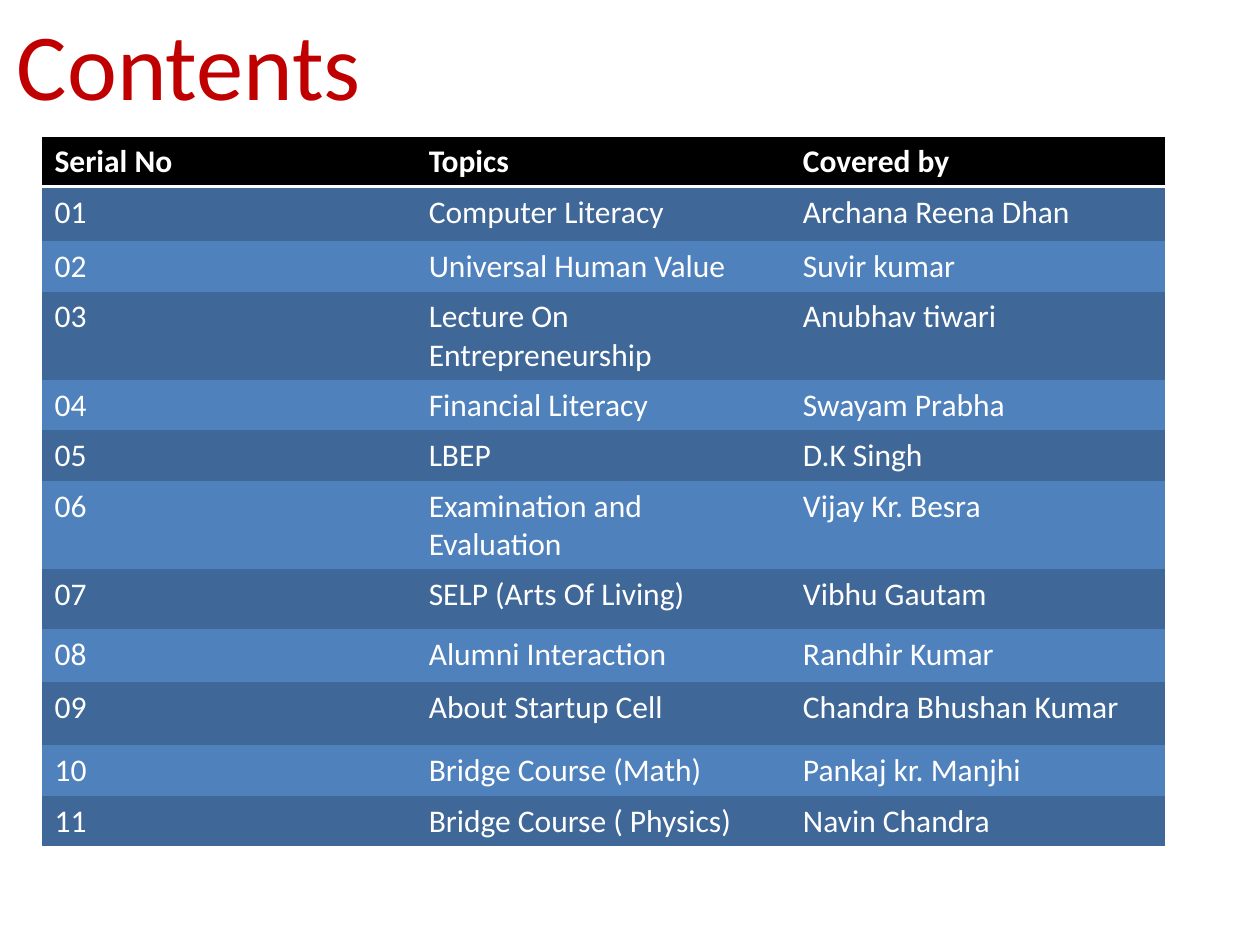
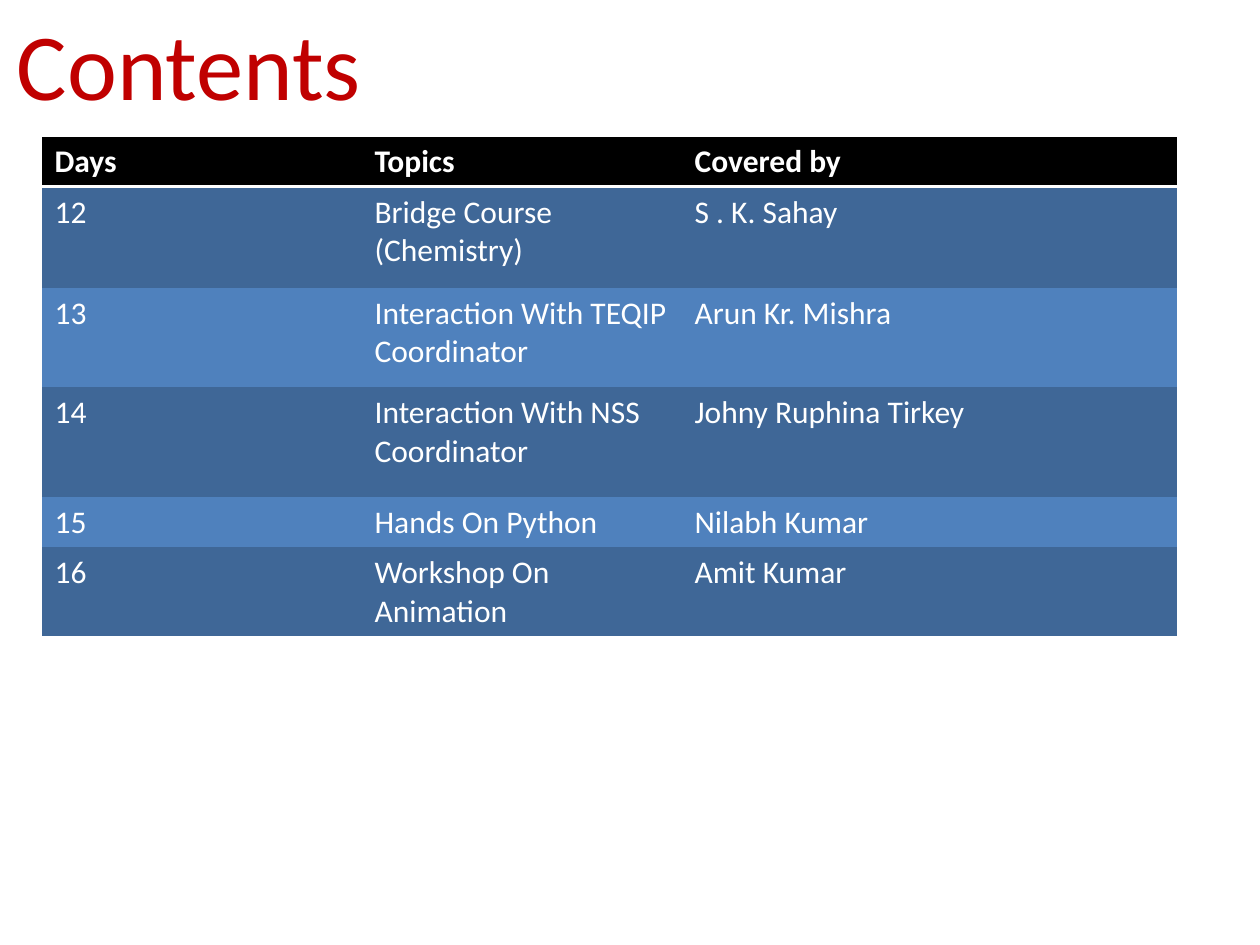
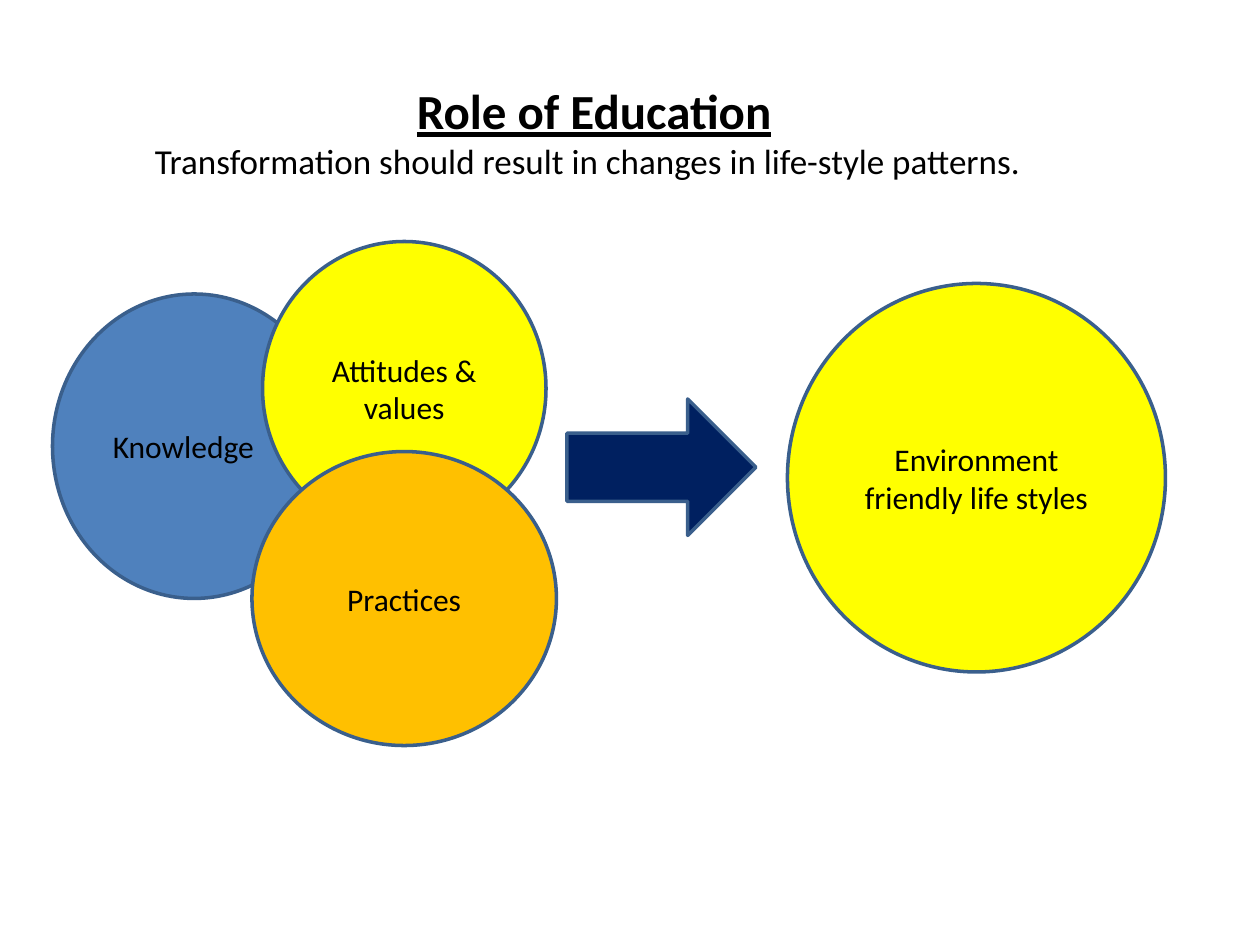
from pptx import Presentation
from pptx import util as u
from pptx.dml import color
from pptx.enum import shapes, text
from pptx.oxml import parse_xml
from pptx.oxml import ns

COLORS = {
    "title": "C00000", "header": "000000", "dark": "3F6797", "blue": "4F81BD",
    "white": "FFFFFF", "black": "000000", "yellow": "FFFF00", "orange": "FFC000",
    "navy": "002060", "outline": "3A5F8C",
}
FONT = "Calibri"
NO_GRID = "{2D5ABB26-0587-4C30-8999-92F81FD0307C}"

deck = Presentation()
deck.slide_width, deck.slide_height = u.Inches(10), u.Inches(7.5)
UNIT = deck.slide_width / 120


def grid(*places):
    return [round(place * UNIT) for place in places]


def style(para, size, name, bold=False):
    para.font.size = u.Pt(size)
    para.font.name = FONT
    para.font.bold = bold
    para.font.color.rgb = color.RGBColor.from_string(COLORS[name])


contents = [
    {
        "columns": [2.97, 2.97, 2.97],
        "heights": [0.4, 0.43, 0.4, 0.7, 0.4, 0.4, 0.7, 0.48, 0.42, 0.5, 0.4, 0.4],
        "rows": [
            ("Serial No", "Topics", "Covered by"),
            ("01", "Computer Literacy", "Archana Reena Dhan"),
            ("02", "Universal Human Value", "Suvir kumar"),
            ("03", "Lecture On Entrepreneurship", "Anubhav tiwari"),
            ("04", "Financial Literacy", "Swayam Prabha"),
            ("05", "LBEP", "D.K Singh"),
            ("06", "Examination and Evaluation", "Vijay Kr. Besra"),
            ("07", "SELP (Arts Of Living)", "Vibhu Gautam"),
            ("08", "Alumni Interaction", "Randhir Kumar"),
            ("09", "About Startup Cell", "Chandra Bhushan Kumar"),
            ("10", "Bridge Course (Math)", "Pankaj kr. Manjhi"),
            ("11", "Bridge Course ( Physics)", "Navin Chandra"),
        ],
    },
    {
        "columns": [2.54, 2.54, 3.93],
        "heights": [0.4, 0.8, 0.79, 0.87, 0.4, 0.7],
        "rows": [
            ("Days", "Topics", "Covered by"),
            ("12", "Bridge Course (Chemistry)", "S . K. Sahay"),
            ("13", "Interaction With TEQIP Coordinator", "Arun Kr. Mishra"),
            ("14", "Interaction With NSS Coordinator", "Johny Ruphina Tirkey"),
            ("15", "Hands On Python", "Nilabh Kumar"),
            ("16", "Workshop On Animation", "Amit Kumar"),
        ],
    },
]

for listing in contents:
    page = deck.slides.add_slide(deck.slide_layouts[6])
    box = page.shapes.add_textbox(*grid(0, 0, 36, 12))
    box.text_frame.word_wrap = True
    para = box.text_frame.paragraphs[0]
    para.text = "Contents"
    para.alignment = text.PP_ALIGN.CENTER
    style(para, 54, "title")

    rows, columns, heights = listing["rows"], listing["columns"], listing["heights"]
    frame = page.shapes.add_table(
        len(rows), len(columns), *grid(4, 13),
        u.Inches(sum(columns)), u.Inches(sum(heights)))
    table = frame.table
    table._tbl.tblPr.find(ns.qn("a:tableStyleId")).text = NO_GRID
    for column, width in zip(table.columns, columns):
        column.width = u.Inches(width)
    for number, (words, height) in enumerate(zip(rows, heights)):
        table.rows[number].height = u.Inches(height)
        fill = "header" if number == 0 else "dark" if number % 2 else "blue"
        for cell, word in zip(table.rows[number].cells, words):
            cell.text = word
            style(cell.text_frame.paragraphs[0], 18, "white", bold=number == 0)
            if number == 0:
                cell._tc.get_or_add_tcPr().append(parse_xml(
                    f'<a:lnB {ns.nsdecls("a")} w="{u.Pt(2)}"><a:solidFill>'
                    f'<a:srgbClr val="{COLORS["white"]}"/></a:solidFill></a:lnB>'))
            cell.fill.solid()
            cell.fill.fore_color.rgb = color.RGBColor.from_string(COLORS[fill])

page = deck.slides.add_slide(deck.slide_layouts[6])
box = page.shapes.add_textbox(*grid(3, 3, 117, 19))
box.text_frame.word_wrap = True
box.text_frame.margin_top = u.Inches(0.39)
headings = [
    ("Role of Education", 28, True, 2.96),
    ("Transformation should result in changes in life-style patterns.", 20, False, 0.88),
]
for number, (words, size, is_title, indent) in enumerate(headings):
    para = box.text_frame.add_paragraph() if number else box.text_frame.paragraphs[0]
    para.text = words
    style(para, size, "black", bold=is_title)
    para.font.underline = is_title
    para._p.get_or_add_pPr().set("marL", str(u.Inches(indent)))

OVAL, ARROW = shapes.MSO_SHAPE.OVAL, shapes.MSO_SHAPE.RIGHT_ARROW
figures = [
    (OVAL, (5, 28, 27, 29), "blue", "Knowledge", 0.27),
    (OVAL, (25, 23, 27, 28), "yellow", "Attitudes & values", 0.1),
    (OVAL, (24, 43, 29, 28), "orange", "Practices", 0.1),
    (ARROW, (54, 38, 18, 13), "navy", "", 0.1),
    (OVAL, (75, 27, 36, 37), "yellow", "Environment friendly life styles", 0.1),
]
for kind, place, fill, words, right_inset in figures:
    figure = page.shapes.add_shape(kind, *grid(*place))
    figure.shadow.inherit = False
    figure.fill.solid()
    figure.fill.fore_color.rgb = color.RGBColor.from_string(COLORS[fill])
    figure.line.color.rgb = color.RGBColor.from_string(COLORS["outline"])
    figure.line.width = u.Pt(2)
    if words:
        figure.text_frame.margin_right = u.Inches(right_inset)
        figure.text_frame.vertical_anchor = text.MSO_ANCHOR.MIDDLE
        para = figure.text_frame.paragraphs[0]
        para.text = words
        para.alignment = text.PP_ALIGN.CENTER
        style(para, 18, "black")

deck.save("out.pptx")
